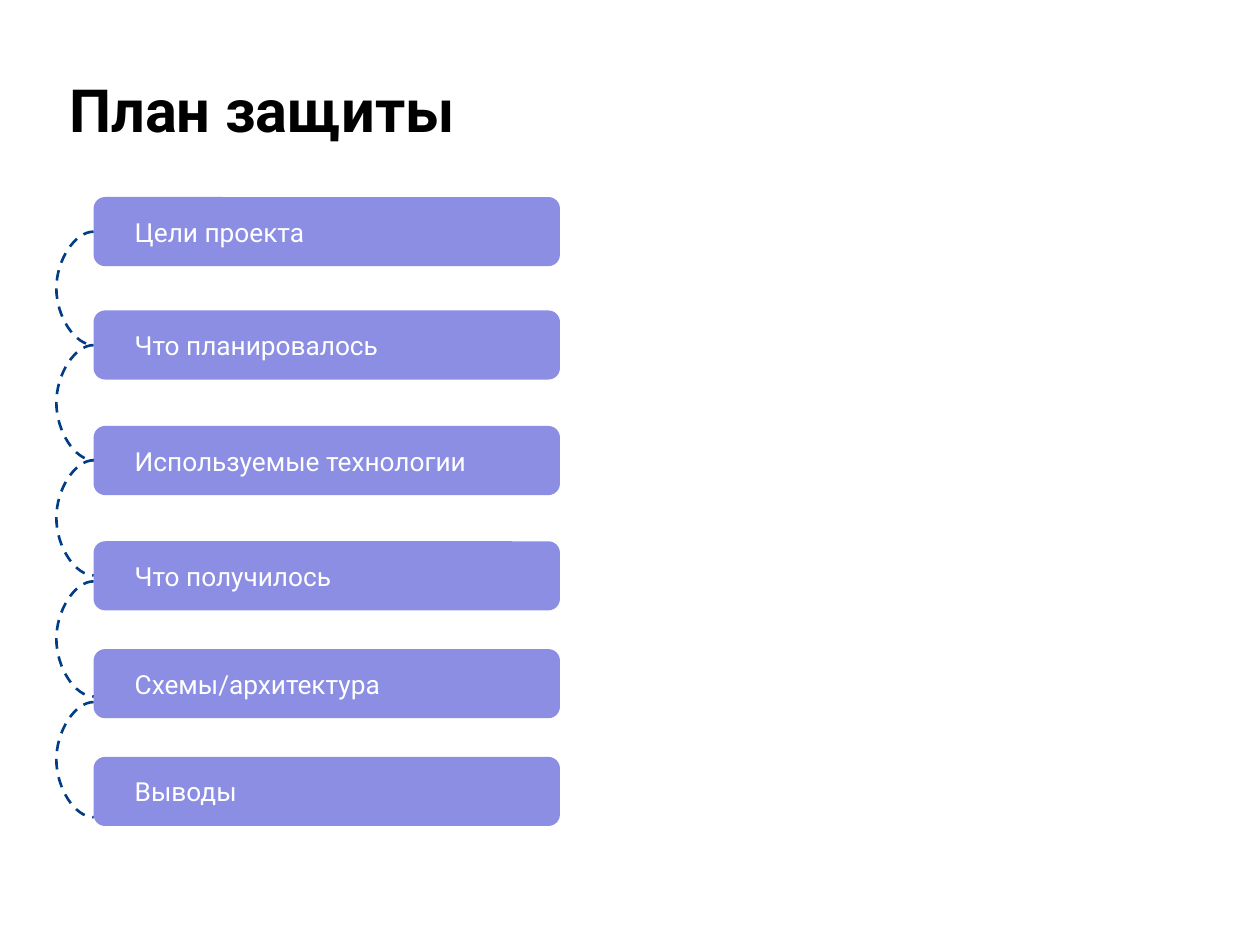
import pptx
import pptx.util
import pptx.dml.color
import pptx.enum.dml
import pptx.enum.shapes
import pptx.enum.text
import pptx.oxml
import pptx.oxml.ns
import lxml.etree

Pt = pptx.util.Pt
BLACK = pptx.dml.color.RGBColor(0x00, 0x00, 0x00)
WHITE = pptx.dml.color.RGBColor(0xFF, 0xFF, 0xFF)
LAVENDER = pptx.dml.color.RGBColor(0x8B, 0x8E, 0xE3)
NAVY = pptx.dml.color.RGBColor(0x01, 0x3D, 0x85)
ANCHOR = pptx.enum.text.MSO_ANCHOR


def write_text(shape, text, frame_format, font_format, color):
    frame = shape.text_frame
    frame.text = text
    for name, value in frame_format.items():
        setattr(frame, name, value)
    para = frame.paragraphs[0]
    para.alignment = pptx.enum.text.PP_ALIGN.LEFT
    span = para.runs[0]
    for name, value in font_format.items():
        setattr(span.font, name, value)
    span.font.color.rgb = color


deck = pptx.Presentation()
deck.slide_width, deck.slide_height = Pt(720), Pt(540)
page = deck.slides.add_slide(deck.slide_layouts[5])

title = page.shapes.title
title.left, title.top, title.width, title.height = Pt(39.6), Pt(34.6), Pt(671), Pt(59)
title_frame = {
    "margin_left": 0, "margin_right": 0,
    "margin_top": Pt(7.2), "margin_bottom": Pt(7.2),
    "vertical_anchor": ANCHOR.TOP, "word_wrap": True,
    "auto_size": pptx.enum.text.MSO_AUTO_SIZE.NONE,
}
title_font = {"name": "Roboto", "size": Pt(34), "bold": True}
write_text(title, "План защиты", title_frame, title_font, BLACK)

box_left, box_width, box_height = 53.5, 266.5, 39.5
box_frame = {
    "margin_left": Pt(21.6), "margin_right": Pt(21.6),
    "margin_top": Pt(7.2), "margin_bottom": Pt(7.2),
    "vertical_anchor": ANCHOR.MIDDLE, "word_wrap": True,
}
box_font = {"name": "Roboto", "size": Pt(15), "bold": False}
steps = [
    ("Цели проекта", 112.6),
    ("Что планировалось", 177.4),
    ("Используемые технологии", 243.4),
    ("Что получилось", 309.3),
    ("Схемы/архитектура", 370.9),
    ("Выводы", 432.5),
]
for text, top in steps:
    box = page.shapes.add_shape(
        pptx.enum.shapes.MSO_SHAPE.ROUNDED_RECTANGLE,
        Pt(box_left), Pt(top), Pt(box_width), Pt(box_height))
    box.adjustments[0] = 0.167
    box.shadow.inherit = False
    box.fill.solid()
    box.fill.fore_color.rgb = LAVENDER
    box.line.fill.background()
    write_text(box, text, box_frame, box_font, WHITE)

curve_width, curve_bulge = 0.06, 22.5
curves = [(132.4, 197.2), (197.2, 263), (263, 328.8), (332.2, 398), (401.2, 467)]
for start, end in curves:
    curve = page.shapes.add_connector(
        pptx.enum.shapes.MSO_CONNECTOR.CURVE,
        Pt(box_left), Pt(start), Pt(box_left + curve_width), Pt(end))
    curve.line.color.rgb = NAVY
    curve.line.width = Pt(1.5)
    curve.line.dash_style = pptx.enum.dml.MSO_LINE.DASH
    properties = curve._element.spPr
    lxml.etree.SubElement(properties, pptx.oxml.ns.qn("a:effectLst"))
    geometry = properties.find(pptx.oxml.ns.qn("a:prstGeom"))
    guides = geometry.find(pptx.oxml.ns.qn("a:avLst"))
    guide = lxml.etree.SubElement(guides, pptx.oxml.ns.qn("a:gd"))
    guide.set("name", "adj1")
    guide.set("fmla", f"val {round(-curve_bulge / curve_width * 100000)}")

deck.save("out.pptx")
